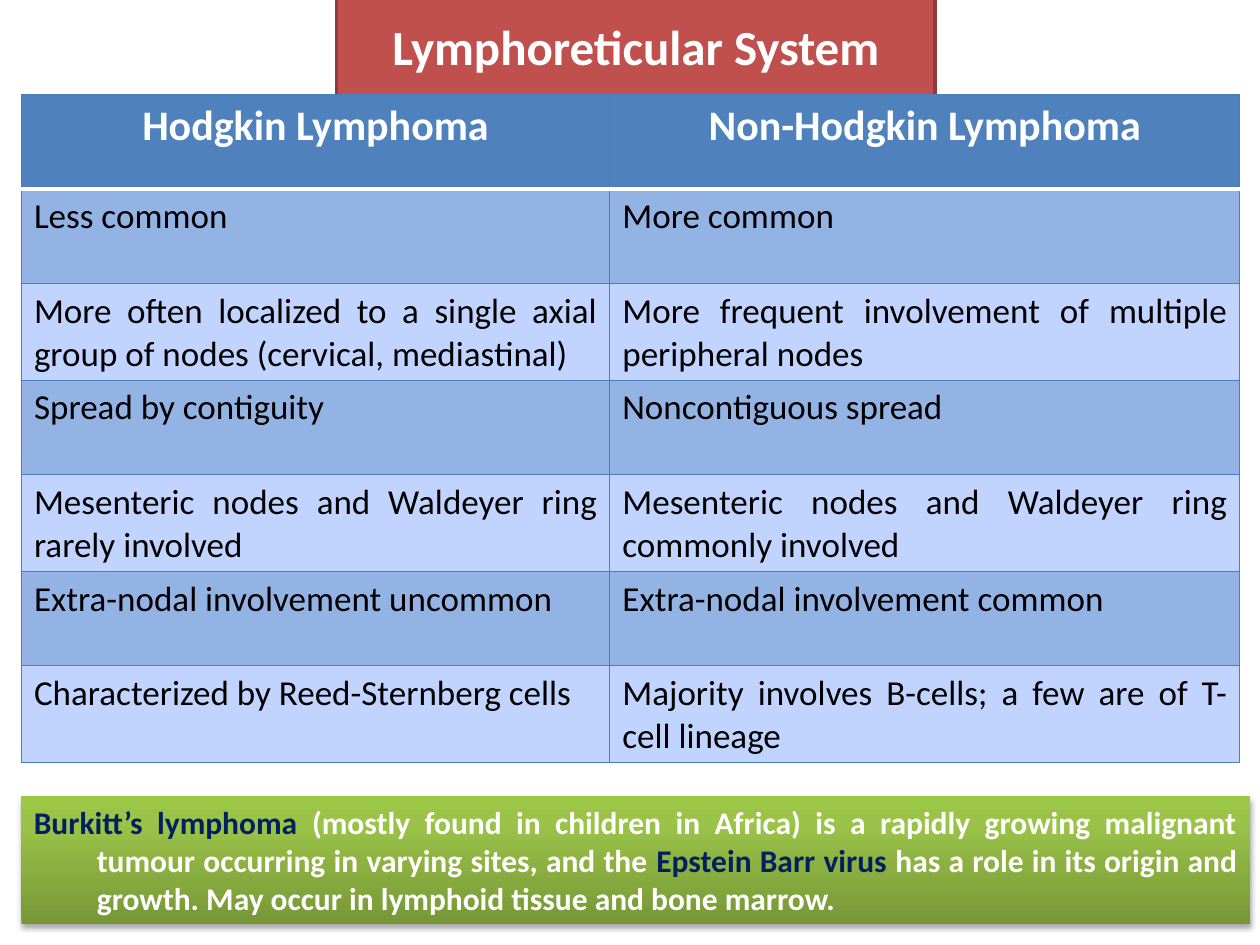
"""Build the slide that compares Hodgkin and non-Hodgkin lymphoma."""
import copy

import lxml.etree
import pptx
import pptx.dml.color
import pptx.enum.dml
import pptx.enum.shapes
import pptx.enum.text
import pptx.oxml
import pptx.oxml.ns
import pptx.util

RGBColor = pptx.dml.color.RGBColor
Inches = pptx.util.Inches
Pt = pptx.util.Pt
Align = pptx.enum.text.PP_ALIGN

WHITE = RGBColor(0xFF, 0xFF, 0xFF)
BLACK = RGBColor(0, 0, 0)
NAVY = RGBColor(0x00, 0x20, 0x60)
RED = RGBColor(0xC0, 0x50, 0x4D)
DARK_RED = RGBColor(0x8E, 0x3B, 0x39)
HEADER_BLUE = RGBColor(0x4F, 0x81, 0xBD)
BORDER_BLUE = RGBColor(0x4B, 0x7E, 0xBC)
BAND_DARK = RGBColor(0x93, 0xB3, 0xE4)
BAND_LIGHT = RGBColor(0xC0, 0xD4, 0xFF)
GREEN_STOPS = [
    (0, RGBColor(0x77, 0x97, 0x37)),
    (0.8, RGBColor(0x9B, 0xC3, 0x48)),
    (1, RGBColor(0x9D, 0xC7, 0x46)),
]

COMPARISON = [
    ("Hodgkin Lymphoma", "Non-Hodgkin Lymphoma"),
    ("Less common", "More common "),
    ("More often localized to a single axial group of nodes (cervical, mediastinal)",
     "More frequent involvement of multiple peripheral nodes"),
    ("Spread by contiguity", "Noncontiguous spread"),
    ("Mesenteric nodes and Waldeyer ring rarely involved",
     "Mesenteric nodes and Waldeyer ring commonly involved"),
    ("Extra-nodal involvement uncommon", "Extra-nodal involvement common"),
    ("Characterized by Reed-Sternberg cells",
     "Majority involves B-cells; a few are of T-cell lineage"),
]

BURKITT_NOTE = [
    ("Burkitt’s lymphoma ", NAVY),
    ("(mostly found in children in Africa) is a rapidly growing malignant tumour "
     "occurring in varying sites, and the ", WHITE),
    ("Epstein Barr virus ", NAVY),
    ("has a role in its origin and growth. May occur in lymphoid tissue and bone marrow.",
     WHITE),
]


class SlideBuilder:
    """Hold the text style and the slide, and add each kind of element."""

    font_name = "Calibri"

    def __init__(self, slide):
        self.slide = slide

    def style(self, paragraph, size, bold, alignment, color=None):
        paragraph.alignment = alignment
        paragraph.font.name = self.font_name
        paragraph.font.size = Pt(size)
        paragraph.font.bold = bold
        if color is not None:
            paragraph.font.color.rgb = color

    def title(self, text, left, top, width, height):
        shape = self.slide.shapes.title
        shape.left, shape.top, shape.width, shape.height = left, top, width, height
        shape.fill.solid()
        shape.fill.fore_color.rgb = RED
        shape.line.color.rgb = DARK_RED
        shape.line.width = Pt(2)
        frame = shape.text_frame
        frame.text = text
        frame.auto_size = pptx.enum.text.MSO_AUTO_SIZE.SHAPE_TO_FIT_TEXT
        self.style(frame.paragraphs[0], 28, True, Align.CENTER, WHITE)

    def border(self, cell, sides):
        properties = cell._tc.get_or_add_tcPr()
        for index, (side, color, width) in enumerate(sides):
            properties.insert(index, pptx.oxml.parse_xml(
                f'<a:ln{side} {pptx.oxml.ns.nsdecls("a")} w="{Pt(width)}">'
                f'<a:solidFill><a:srgbClr val="{color}"/></a:solidFill></a:ln{side}>'))

    def table(self, rows, left, top, column_widths, row_height):
        frame = self.slide.shapes.add_table(
            len(rows), len(column_widths), left, top,
            sum(column_widths), row_height * len(rows))
        table = frame.table
        for column, width in zip(table.columns, column_widths):
            column.width = width
        thin, thick = (BORDER_BLUE, 0.75), (WHITE, 2)
        for row_index, texts in enumerate(rows):
            table.rows[row_index].height = row_height
            header = row_index == 0
            band = BAND_DARK if row_index % 2 else BAND_LIGHT
            for column_index, text in enumerate(texts):
                cell = table.cell(row_index, column_index)
                cell.text = text
                cell.fill.solid()
                cell.fill.fore_color.rgb = HEADER_BLUE if header else band
                self.border(cell, [
                    ("L", *thin), ("R", *thin),
                    ("T", *(thick if row_index == 1 else thin)),
                    ("B", *(thick if header else thin))])
                paragraph = cell.text_frame.paragraphs[0]
                if header:
                    self.style(paragraph, 24, True, Align.CENTER, WHITE)
                else:
                    self.style(paragraph, 20, False, Align.JUSTIFY, BLACK)

    def gradient(self, fill, stops, angle):
        fill.gradient()
        fill.gradient_angle = angle
        stop_list = fill.gradient_stops[0]._gs.getparent()
        stop_list.append(copy.deepcopy(stop_list[-1]))
        for stop, (position, color) in zip(fill.gradient_stops, stops):
            stop.position = position
            stop.color.rgb = color

    def drop_shadow(self, shape):
        shape.shadow.inherit = False
        effects = shape._element.spPr.find(pptx.oxml.ns.qn("a:effectLst"))
        shadow = lxml.etree.SubElement(
            effects, pptx.oxml.ns.qn("a:outerShdw"), blurRad=str(Pt(3.1)),
            dist=str(Pt(1.8)), dir="5400000", rotWithShape="0")
        color = lxml.etree.SubElement(shadow, pptx.oxml.ns.qn("a:srgbClr"), val="000000")
        lxml.etree.SubElement(color, pptx.oxml.ns.qn("a:alpha"), val="35000")

    def note(self, runs, left, top, width, height):
        shape = self.slide.shapes.add_shape(
            pptx.enum.shapes.MSO_SHAPE.RECTANGLE, left, top, width, height)
        self.gradient(shape.fill, GREEN_STOPS, 90)
        shape.line.fill.background()
        self.drop_shadow(shape)
        frame = shape.text_frame
        frame.word_wrap = True
        frame.auto_size = pptx.enum.text.MSO_AUTO_SIZE.SHAPE_TO_FIT_TEXT
        paragraph = frame.paragraphs[0]
        properties = paragraph._p.get_or_add_pPr()
        properties.set("marL", str(Inches(0.5)))
        properties.set("indent", str(Inches(-0.5)))
        self.style(paragraph, 18, True, Align.JUSTIFY)
        for text, color in runs:
            run = paragraph.add_run()
            run.text = text
            run.font.color.rgb = color


def main():
    presentation = pptx.Presentation()
    presentation.slide_width = Inches(10)
    presentation.slide_height = Inches(7.5)
    slide = presentation.slides.add_slide(presentation.slide_layouts[5])
    builder = SlideBuilder(slide)
    builder.title("Lymphoreticular System",
                  Inches(2.67), Inches(0.08), Inches(4.75), Inches(0.57))
    builder.table(COMPARISON, Inches(0.17), Inches(0.75),
                  [Inches(4.67), Inches(5)], Inches(0.75))
    builder.note(BURKITT_NOTE, Inches(0.17), Inches(6.32), Inches(9.75), Inches(1.01))
    presentation.save("out.pptx")


if __name__ == "__main__":
    main()
